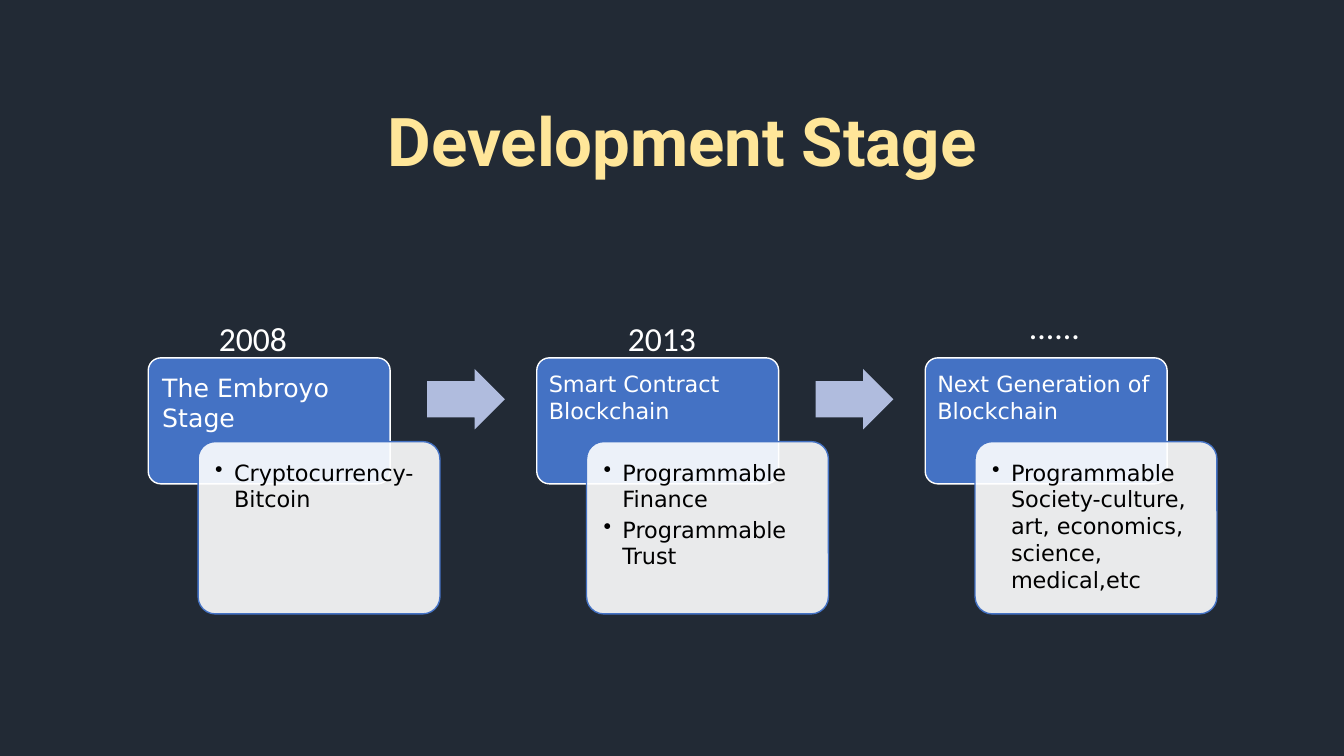
from lxml.etree import SubElement
from pptx import Presentation
from pptx.dml.color import RGBColor
from pptx.enum.shapes import MSO_SHAPE
from pptx.enum.text import MSO_ANCHOR, MSO_AUTO_SIZE, PP_ALIGN
from pptx.oxml.ns import qn
from pptx.util import Pt

NAVY = RGBColor(0x22, 0x2A, 0x35)
CREAM = RGBColor(0xFF, 0xE6, 0x99)
BLUE = RGBColor(0x44, 0x72, 0xC4)
LAVENDER = RGBColor(0xB0, 0xBC, 0xDE)
WHITE = RGBColor(0xFF, 0xFF, 0xFF)
BLACK = RGBColor(0, 0, 0)

FIRST_LEFT, STAGE_PITCH = 105.9, 277.5
CARD_WIDTH = 172.8
HEADING_TOP, HEADING_HEIGHT = 255.6, 90
DETAIL_SHIFT, DETAIL_TOP, DETAIL_HEIGHT = 35.6, 315.4, 123.1
ARROW_SHIFT = 199.2

# year, year left, year top, year width, heading, heading size, heading inset, details
STAGES = [
    ("2008", 141.8, 223.2, 77.8, "The Embroyo Stage", 18, 7.4,
     ["Cryptocurrency-Bitcoin"]),
    ("2013", 441.4, 223.2, 77.8, "Smart Contract Blockchain", 16, 6,
     ["Programmable Finance", "Programmable Trust"]),
    ("......", 727.9, 215.3, 62.6, "Next Generation of Blockchain", 16, 6,
     ["Programmable Society-culture, art, economics, science, medical,etc"]),
]


def apply(target, formats):
    for attribute, value in formats.items():
        setattr(target, attribute, value)


def style_font(paragraph, name, size, color, bold=False):
    apply(paragraph.font, {"name": name, "size": Pt(size), "bold": bold})
    paragraph.font.color.rgb = color


def add_bullet(paragraph):
    properties = paragraph._p.get_or_add_pPr()
    properties.set("marL", str(Pt(13.5)))
    properties.set("indent", str(-Pt(13.5)))
    SubElement(properties, qn("a:buChar"), char="•")


def add_title(slide, text):
    title = slide.shapes.title
    apply(title, {"left": Pt(68.4), "top": Pt(67), "width": Pt(838), "height": Pt(65.5)})
    apply(title.text_frame, {"text": text, "word_wrap": True,
                             "vertical_anchor": MSO_ANCHOR.MIDDLE})
    paragraph = title.text_frame.paragraphs[0]
    apply(paragraph, {"alignment": PP_ALIGN.CENTER, "line_spacing": 1.0})
    style_font(paragraph, "Roboto", 48, CREAM, True)


def add_filled(slide, preset, box, color, adjustments):
    shape = slide.shapes.add_shape(preset, *map(Pt, box))
    shape.shadow.inherit = False
    shape.fill.solid()
    shape.fill.fore_color.rgb = color
    for index, value in enumerate(adjustments):
        shape.adjustments[index] = value
    return shape


def add_card(slide, box, fill, outline, lines, size, color, inset, bulleted=False):
    card = add_filled(slide, MSO_SHAPE.ROUNDED_RECTANGLE, box, fill, [0.1])
    card.line.color.rgb = outline
    card.line.width = Pt(1)
    frame = card.text_frame
    sides = ("margin_left", "margin_top", "margin_right", "margin_bottom")
    apply(frame, dict.fromkeys(sides, Pt(inset)))
    apply(frame, {"word_wrap": True, "vertical_anchor": MSO_ANCHOR.TOP,
                  "text": "\n".join(lines)})
    for paragraph in frame.paragraphs:
        if bulleted:
            add_bullet(paragraph)
        apply(paragraph, {"alignment": PP_ALIGN.LEFT, "space_after": Pt(2.4)})
        style_font(paragraph, "DejaVu Sans", size, color)
    return card


def set_opacity(shape, percent):
    color = shape.fill._xPr.find(qn("a:solidFill"))[0]
    SubElement(color, qn("a:alpha"), val=str(percent * 1000))


def add_arrow(slide, left):
    arrow = add_filled(slide, MSO_SHAPE.RIGHT_ARROW, (left, 263.6, 55.5, 43.2),
                       LAVENDER, [0.6, 0.5])
    arrow.line.fill.background()


def add_year(slide, text, left, top, width, alignment):
    frame = slide.shapes.add_textbox(Pt(left), Pt(top), Pt(width), Pt(36)).text_frame
    apply(frame, {"text": text, "word_wrap": True,
                  "auto_size": MSO_AUTO_SIZE.SHAPE_TO_FIT_TEXT})
    frame.paragraphs[0].alignment = alignment
    style_font(frame.paragraphs[0], "Calibri", 24, WHITE)


def main():
    presentation = Presentation()
    apply(presentation, {"slide_width": Pt(960), "slide_height": Pt(540)})
    slide = presentation.slides.add_slide(presentation.slide_layouts[5])
    slide.background.fill.solid()
    slide.background.fill.fore_color.rgb = NAVY
    add_title(slide, "Development Stage")

    for index, stage in enumerate(STAGES):
        year, year_left, year_top, year_width, heading, size, inset, details = stage
        left = FIRST_LEFT + index * STAGE_PITCH
        add_card(slide, (left, HEADING_TOP, CARD_WIDTH, HEADING_HEIGHT),
                 BLUE, WHITE, [heading], size, WHITE, inset)
        detail = add_card(slide, (left + DETAIL_SHIFT, DETAIL_TOP, CARD_WIDTH, DETAIL_HEIGHT),
                          WHITE, BLUE, details, 16, BLACK, 8.6, bulleted=True)
        set_opacity(detail, 90)
        if index < len(STAGES) - 1:
            add_arrow(slide, left + ARROW_SHIFT)
        add_year(slide, year, year_left, year_top, year_width,
                 PP_ALIGN.LEFT if index else PP_ALIGN.CENTER)

    presentation.save("out.pptx")


if __name__ == "__main__":
    main()
